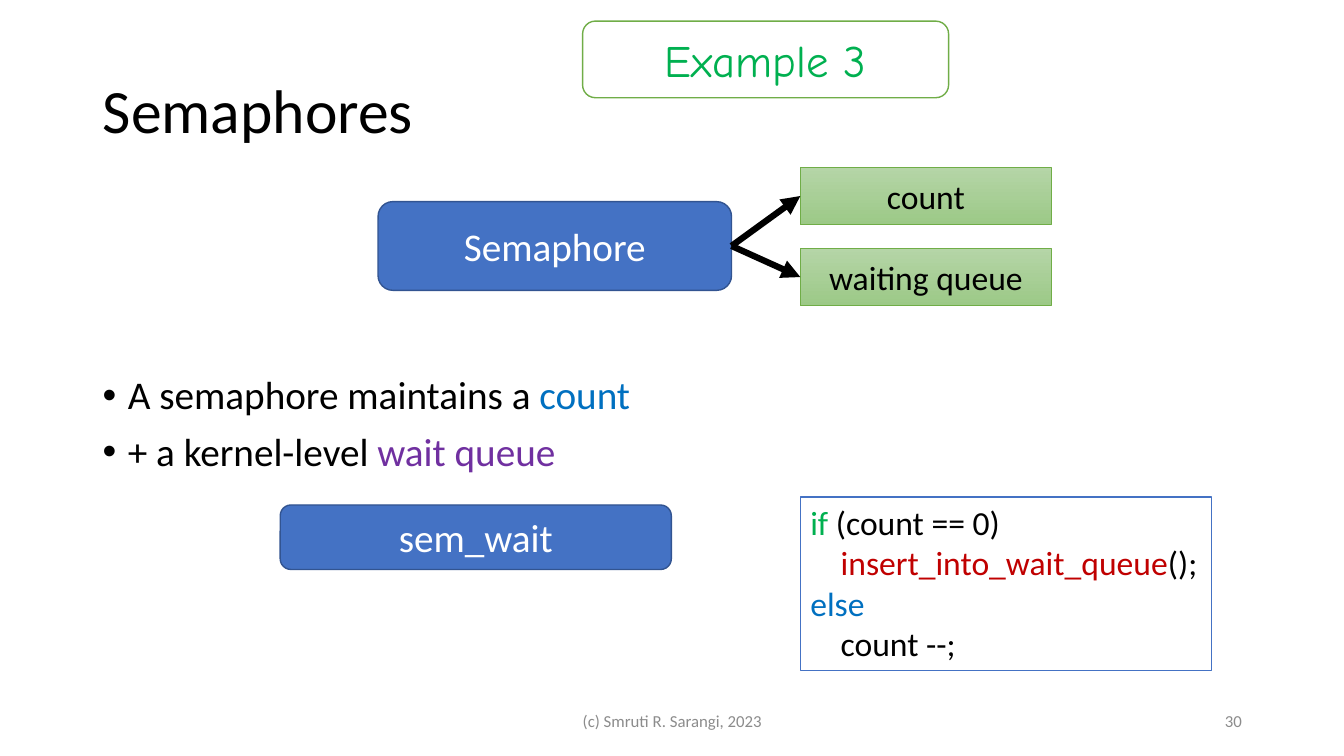
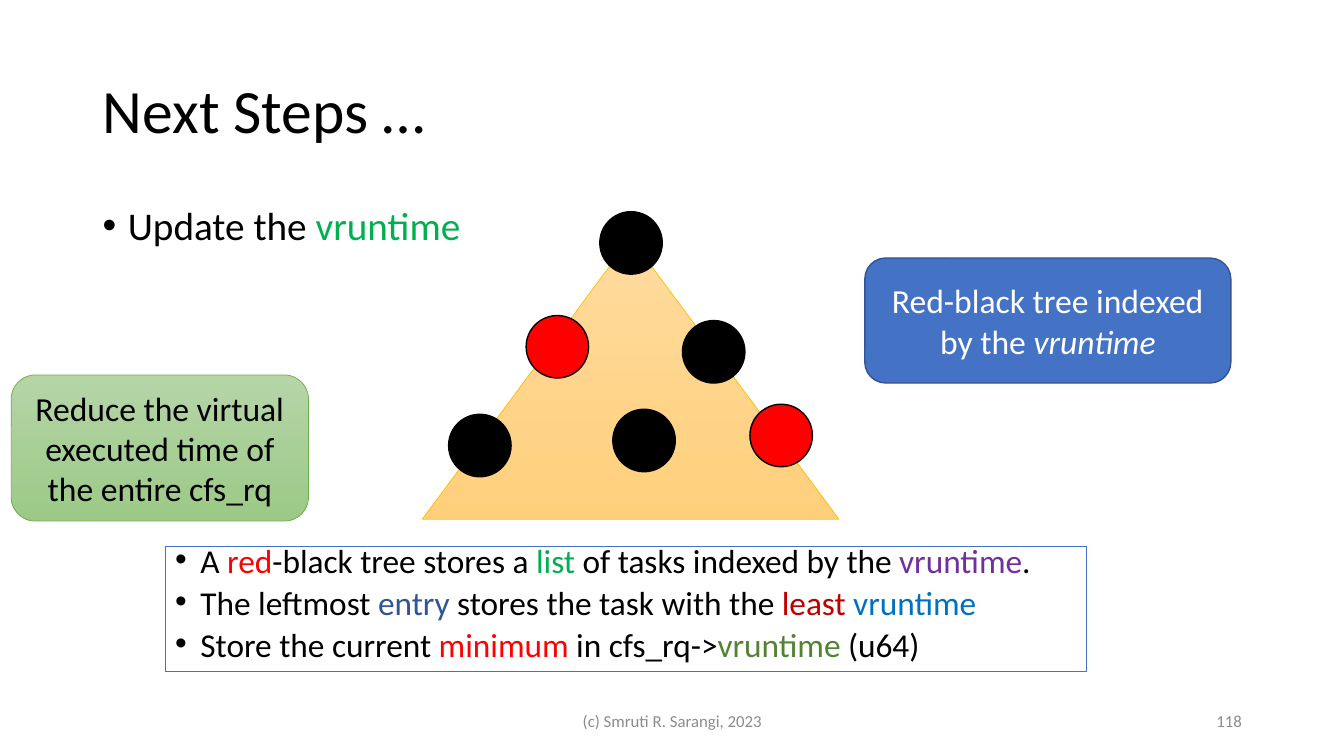
"""Build two operating-system slides: semaphores and the next scheduling steps."""
from dataclasses import dataclass
from typing import NamedTuple, Optional

from lxml import etree
from pptx import Presentation
from pptx import util as u
from pptx.dml.color import RGBColor
from pptx.enum import shapes, text
from pptx.oxml import ns

BLACK = RGBColor(0x00, 0x00, 0x00)
WHITE = RGBColor(0xFF, 0xFF, 0xFF)
GREY = RGBColor(0x8C, 0x8C, 0x8C)
RED = RGBColor(0xFF, 0x00, 0x00)
DARK_RED = RGBColor(0xC0, 0x00, 0x00)
GREEN = RGBColor(0x00, 0xB0, 0x50)
LEAF = RGBColor(0x70, 0xAD, 0x47)
DARK_LEAF = RGBColor(0x54, 0x82, 0x35)
LEAF_TOP = RGBColor(0xB5, 0xD5, 0xA7)
LEAF_BOTTOM = RGBColor(0x9C, 0xC9, 0x87)
BLUE = RGBColor(0x44, 0x72, 0xC4)
EDGE_BLUE = RGBColor(0x32, 0x54, 0x91)
NAVY = RGBColor(0x2F, 0x55, 0x97)
SKY = RGBColor(0x00, 0x70, 0xC0)
PURPLE = RGBColor(0x70, 0x30, 0xA0)
GOLD = RGBColor(0xFF, 0xC0, 0x00)
GOLD_TOP = RGBColor(0xFF, 0xDB, 0x9E)
GOLD_BOTTOM = RGBColor(0xFF, 0xD0, 0x7C)

WIDTH, HEIGHT = u.Inches(13.33), u.Inches(7.5)
FONT, HAND_FONT = "Calibri", "Comic Neue"
MARGIN, CONTENT = 6.9, 86.25
FOOTER_TOP, FOOTER_HEIGHT = 92.67, 5.33
SIDE_COLUMN = 59.55
NODE_SIZE = (4.65, 8.27)

KIND = shapes.MSO_SHAPE
ALIGN = text.PP_ALIGN
ANCHOR = text.MSO_ANCHOR


class Area(NamedTuple):
    """Position and size as percentages of the slide."""
    left: float
    top: float
    width: float
    height: float

    def emu(self) -> tuple:
        return (u.Emu(int(WIDTH * self.left / 100)), u.Emu(int(HEIGHT * self.top / 100)),
                u.Emu(int(WIDTH * self.width / 100)), u.Emu(int(HEIGHT * self.height / 100)))


class Run(NamedTuple):
    """A stretch of text with its own colour or slant."""
    text: str
    color: Optional[RGBColor] = None
    italic: bool = False


@dataclass(frozen=True)
class TextStyle:
    """Paragraph and character settings of a whole text frame."""
    size: float
    color: RGBColor = BLACK
    font: str = FONT
    align: ALIGN = ALIGN.LEFT
    anchor: ANCHOR = ANCHOR.TOP
    spacing: float = 1.0
    bullet: bool = False
    wrap: bool = True


@dataclass(frozen=True)
class Look:
    """Fill from top colour to bottom colour, and outline."""
    top: RGBColor
    bottom: RGBColor
    line: RGBColor
    weight: float = 1


@dataclass(frozen=True)
class Box:
    """A preset shape, with text if it has any."""
    area: Area
    kind: KIND
    look: Look
    style: Optional[TextStyle] = None
    paragraphs: tuple = ()


def centred(size: float, color: RGBColor, font: str = FONT) -> TextStyle:
    return TextStyle(size, color, font, ALIGN.CENTER, ANCHOR.MIDDLE)


TITLE = TextStyle(44, anchor=ANCHOR.MIDDLE, spacing=0.9)
BODY = TextStyle(28, spacing=0.9, bullet=True)
LIST = TextStyle(23.8, spacing=0.7, bullet=True)
CODE = TextStyle(24, wrap=False)
FOOTER = centred(12, GREY)
NUMBER = TextStyle(12, GREY, align=ALIGN.RIGHT, anchor=ANCHOR.MIDDLE)
LABEL = centred(24, BLACK)

SOLID_BLUE = Look(BLUE, BLUE, EDGE_BLUE)
SOFT_GREEN = Look(LEAF_TOP, LEAF_BOTTOM, LEAF, 0.5)
SOFT_GOLD = Look(GOLD_TOP, GOLD_BOTTOM, GOLD, 0.5)
BLUE_FRAME = Look(WHITE, WHITE, BLUE)
GREEN_FRAME = Look(WHITE, WHITE, LEAF)


def add_bullet(p) -> None:
    pPr = p._p.get_or_add_pPr()
    pPr.set("marL", str(u.Inches(0.25)))
    pPr.set("indent", str(-u.Inches(0.25)))
    etree.SubElement(pPr, ns.qn("a:buFont"), typeface="Arial")
    etree.SubElement(pPr, ns.qn("a:buChar"), char="•")


def write(tf, style: TextStyle, paragraphs: tuple) -> None:
    tf.word_wrap = style.wrap
    tf.auto_size = text.MSO_AUTO_SIZE.NONE if style.wrap else text.MSO_AUTO_SIZE.SHAPE_TO_FIT_TEXT
    tf.vertical_anchor = style.anchor
    for i, runs in enumerate(paragraphs):
        p = tf.add_paragraph() if i else tf.paragraphs[0]
        if style.bullet:
            add_bullet(p)
            p.space_before = u.Pt(10 if i else 0)
        p.alignment = style.align
        p.line_spacing = style.spacing
        for run in runs:
            r = p.add_run()
            r.text = run.text
            r.font.name = style.font
            r.font.size = u.Pt(style.size)
            r.font.color.rgb = run.color or style.color
            if run.italic:
                r.font.italic = True


def add_text(s, area: Area, style: TextStyle, *paragraphs: tuple) -> None:
    write(s.shapes.add_textbox(*area.emu()).text_frame, style, paragraphs)


def add_box(s, box: Box):
    sp = s.shapes.add_shape(box.kind, *box.area.emu())
    sp.shadow.inherit = False
    look = box.look
    if look.top == look.bottom:
        sp.fill.solid()
        sp.fill.fore_color.rgb = look.top
    else:
        sp.fill.gradient()
        sp.fill.gradient_angle = 270
        for stop, color in zip(sp.fill.gradient_stops, (look.top, look.bottom)):
            stop.color.rgb = color
    sp.line.color.rgb = look.line
    sp.line.width = u.Pt(look.weight)
    if box.style:
        write(sp.text_frame, box.style, box.paragraphs)
    return sp


def add_arrow(s, start, end) -> None:
    line = s.shapes.add_connector(shapes.MSO_CONNECTOR.STRAIGHT, 0, 0, 0, 0)
    line.begin_connect(start, 3)
    line.end_connect(end, 1)
    line.line.color.rgb = BLACK
    line.line.width = u.Pt(4.5)
    etree.SubElement(line.line._get_or_add_ln(), ns.qn("a:tailEnd"), type="triangle")
    etree.SubElement(line._element.spPr, ns.qn("a:effectLst"))


def add_slide(prs, title: str, number: int):
    s = prs.slides.add_slide(prs.slide_layouts[5])
    sp = s.shapes.title
    sp.left, sp.top, sp.width, sp.height = Area(MARGIN, 5.33, CONTENT, 19.33).emu()
    write(sp.text_frame, TITLE, ((Run(title),),))
    add_text(s, Area(33.15, FOOTER_TOP, 33.75, FOOTER_HEIGHT), FOOTER,
             (Run("(c) Smruti R. Sarangi, 2023"),))
    add_text(s, Area(70.65, FOOTER_TOP, 22.5, FOOTER_HEIGHT), NUMBER, (Run(str(number)),))
    return s


def semaphores(prs) -> None:
    s = add_slide(prs, "Semaphores", 30)
    add_text(s, Area(MARGIN, 49.07, CONTENT, 15.73), BODY,
             (Run("A semaphore maintains a "), Run("count", SKY)),
             (Run("+ a kernel-level "), Run("wait queue", PURPLE)))
    semaphore = add_box(s, Box(Area(28.13, 26.67, 26.3, 11.73), KIND.ROUNDED_RECTANGLE,
                               SOLID_BLUE, centred(28, WHITE), ((Run("Semaphore"),),)))
    for i, name in enumerate(("count", "waiting queue")):
        field = add_box(s, Box(Area(SIDE_COLUMN, 22.13 + i * 10.72, 18.68, 7.6), KIND.RECTANGLE,
                               SOFT_GREEN, LABEL, ((Run(name),),)))
        add_arrow(s, semaphore, field)
    code = (
        (Run("if", GREEN), Run(" (count == 0)")),
        (Run("    "), Run("insert_into_wait_queue", DARK_RED), Run("();")),
        (Run("else", SKY),),
        (Run("    count --;"),),
    )
    for box in (
        Box(Area(20.85, 66.8, 29.1, 8.53), KIND.ROUNDED_RECTANGLE, SOLID_BLUE,
            centred(28, WHITE), ((Run("sem_wait"),),)),
        Box(Area(SIDE_COLUMN, 65.73, 30.6, 22.93), KIND.RECTANGLE, BLUE_FRAME, CODE, code),
        Box(Area(43.35, 2.8, 27.23, 10.13), KIND.ROUNDED_RECTANGLE, GREEN_FRAME,
            centred(32, GREEN, HAND_FONT), ((Run("Example 3"),),)),
    ):
        add_box(s, box)


def next_steps(prs) -> None:
    s = add_slide(prs, "Next Steps …", 118)
    add_text(s, Area(MARGIN, 26.67, CONTENT, 10.93), BODY,
             (Run("Update the "), Run("vruntime", GREEN)))
    add_box(s, Box(Area(31.43, 31.47, 30.98, 37.2), KIND.ISOSCELES_TRIANGLE, SOFT_GOLD))
    for left, top, color in (
        (44.63, 28, BLACK), (39.15, 41.73, RED), (55.8, 53.47, RED),
        (50.78, 42.4, BLACK), (33.38, 54.8, BLACK), (45.6, 54.13, BLACK),
    ):
        add_box(s, Box(Area(left, top, *NODE_SIZE), KIND.OVAL, Look(color, color, BLACK)))
    facts = (
        (Run("A "), Run("red", RED), Run("-black tree stores a "), Run("list", GREEN),
         Run(" of tasks indexed by the "), Run("vruntime", PURPLE), Run(".")),
        (Run("The leftmost "), Run("entry", NAVY), Run(" stores the task with the "),
         Run("least ", DARK_RED), Run("vruntime", SKY)),
        (Run("Store the current "), Run("minimum", RED), Run(" in cfs_rq->"),
         Run("vruntime", DARK_LEAF), Run(" (u64)")),
    )
    for box in (
        Box(Area(64.35, 34.13, 27.23, 16.53), KIND.ROUNDED_RECTANGLE, SOLID_BLUE,
            centred(24, WHITE),
            ((Run("Red-black tree indexed by the "), Run("vruntime", italic=True)),)),
        Box(Area(12.3, 72.27, 68.55, 16.53), KIND.RECTANGLE, BLUE_FRAME, LIST, facts),
        Box(Area(0.83, 49.6, 22.13, 19.33), KIND.ROUNDED_RECTANGLE, SOFT_GREEN, LABEL,
            ((Run("Reduce the virtual executed time of the entire cfs_rq"),),)),
    ):
        add_box(s, box)


def main() -> None:
    prs = Presentation()
    prs.slide_width, prs.slide_height = WIDTH, HEIGHT
    semaphores(prs)
    next_steps(prs)
    prs.save("out.pptx")


if __name__ == "__main__":
    main()
